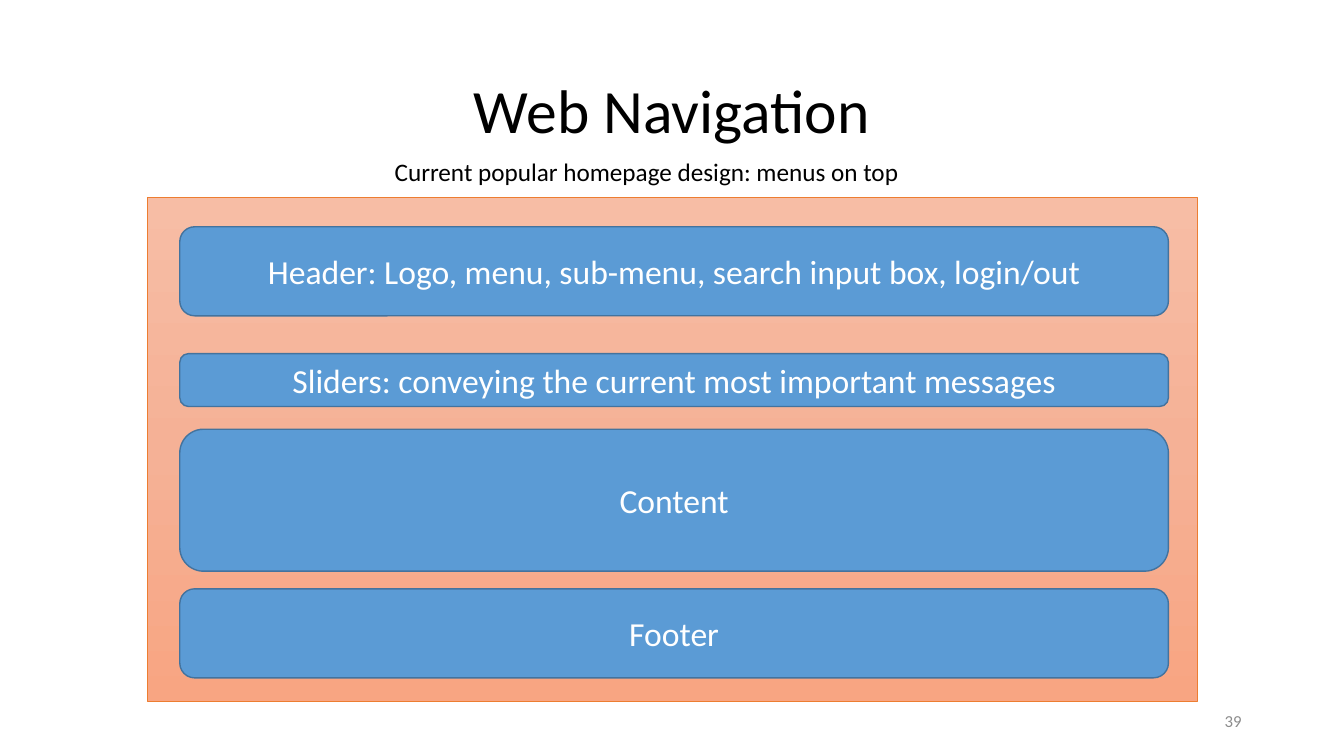
from copy import deepcopy
from dataclasses import dataclass

from pptx import Presentation
from pptx.dml.color import RGBColor
from pptx.enum.shapes import MSO_SHAPE
from pptx.enum.text import MSO_ANCHOR, PP_ALIGN
from pptx.oxml.ns import qn
from pptx.util import Inches, Pt

RECTANGLE, ROUNDED = MSO_SHAPE.RECTANGLE, MSO_SHAPE.ROUNDED_RECTANGLE
LEFT, CENTER, RIGHT = PP_ALIGN.LEFT, PP_ALIGN.CENTER, PP_ALIGN.RIGHT
TOP, MIDDLE = MSO_ANCHOR.TOP, MSO_ANCHOR.MIDDLE

# The slide is a grid of 160 columns by 90 rows of square cells
COLUMNS, ROWS = 160, 90
CELL = Inches(1) / 12


@dataclass(frozen=True)
class Theme:
    font: str = "Calibri"
    title_size: int = 44
    block_size: int = 24
    caption_size: int = 18
    number_size: int = 12
    ink: str = "000000"
    muted: str = "8C8C8C"
    block_text: str = "FFFFFF"
    block_fill: str = "5B9BD5"
    block_line: str = "43739E"
    page_line: str = "ED7D31"
    page_gradient: tuple[str, str, str] = ("F7BDA5", "F5B196", "F8A582")


@dataclass(frozen=True)
class Area:
    column: float
    row: float
    columns: float
    rows: float

    def lengths(self) -> list[int]:
        return [round(n * CELL) for n in (self.column, self.row, self.columns, self.rows)]


@dataclass(frozen=True)
class Label:
    text: str
    area: Area
    size: int
    color: str
    align: PP_ALIGN = CENTER
    anchor: MSO_ANCHOR = MIDDLE
    spacing: float = 1.0


@dataclass(frozen=True)
class Block:
    text: str
    row: float
    rows: float


THEME = Theme()
BLOCK_COLUMN, BLOCK_COLUMNS = 21.4, 117.7
PAGE = Area(17.5, 23.5, 125, 60)
TITLE = Label("Web Navigation", Area(11, 4.8, 138, 17.4), THEME.title_size, THEME.ink, spacing=0.9)
NUMBER = Label("39", Area(113, 83.4, 36, 4.8), THEME.number_size, THEME.muted, RIGHT)
CAPTION = Label("Current popular homepage design: menus on top", Area(45.8, 18, 80, 8.5),
                THEME.caption_size, THEME.ink, LEFT, TOP)
BLOCKS = [
    Block("Header: Logo, menu, sub-menu, search input box, login/out", 27, 10.6),
    Block("Sliders: conveying the current most important messages", 42.1, 6.3),
    Block("Content", 51.1, 16.9),
    Block("Footer", 70.1, 10.6),
]


def set_all(target, values: dict) -> None:
    for name, value in values.items():
        setattr(target, name, value)


def write(shape, label: Label) -> None:
    frame = shape.text_frame
    set_all(frame, {"word_wrap": True, "vertical_anchor": label.anchor})
    para = frame.paragraphs[0]
    set_all(para, {"alignment": label.align, "line_spacing": label.spacing})
    span = para.add_run()
    span.text = label.text
    set_all(span.font, {"name": THEME.font, "size": Pt(label.size)})
    span.font.color.rgb = RGBColor.from_string(label.color)


def add_label(page, label: Label) -> None:
    write(page.shapes.add_textbox(*label.area.lengths()), label)


def add_box(shapes, kind: MSO_SHAPE, area: Area, line: str, weight: float):
    box = shapes.add_shape(kind, *area.lengths())
    box.shadow.inherit = False
    box.line.color.rgb = RGBColor.from_string(line)
    box.line.width = Pt(weight)
    return box


def add_homepage(page) -> None:
    box = add_box(page.shapes, RECTANGLE, PAGE, THEME.page_line, 0.5)
    box.fill.gradient()
    box.fill.gradient_angle = 270
    # A third stop halfway down
    stops = box._element.spPr.find(qn("a:gradFill")).find(qn("a:gsLst"))
    middle = deepcopy(stops[0])
    middle.set("pos", "50000")
    stops.insert(1, middle)
    for stop, color in zip(box.fill.gradient_stops, THEME.page_gradient):
        stop.color.rgb = RGBColor.from_string(color)


def add_blocks(page) -> None:
    group = page.shapes.add_group_shape()
    for block in BLOCKS:
        area = Area(BLOCK_COLUMN, block.row, BLOCK_COLUMNS, block.rows)
        box = add_box(group.shapes, ROUNDED, area, THEME.block_line, 1)
        box.fill.solid()
        box.fill.fore_color.rgb = RGBColor.from_string(THEME.block_fill)
        write(box, Label(block.text, area, THEME.block_size, THEME.block_text))


def main() -> None:
    deck = Presentation()
    set_all(deck, {"slide_width": round(COLUMNS * CELL), "slide_height": round(ROWS * CELL)})
    page = deck.slides.add_slide(deck.slide_layouts[6])
    # Title and page number
    add_label(page, TITLE)
    add_label(page, NUMBER)
    # Homepage sketch with its caption
    add_homepage(page)
    add_blocks(page)
    add_label(page, CAPTION)
    deck.save("out.pptx")


if __name__ == "__main__":
    main()
